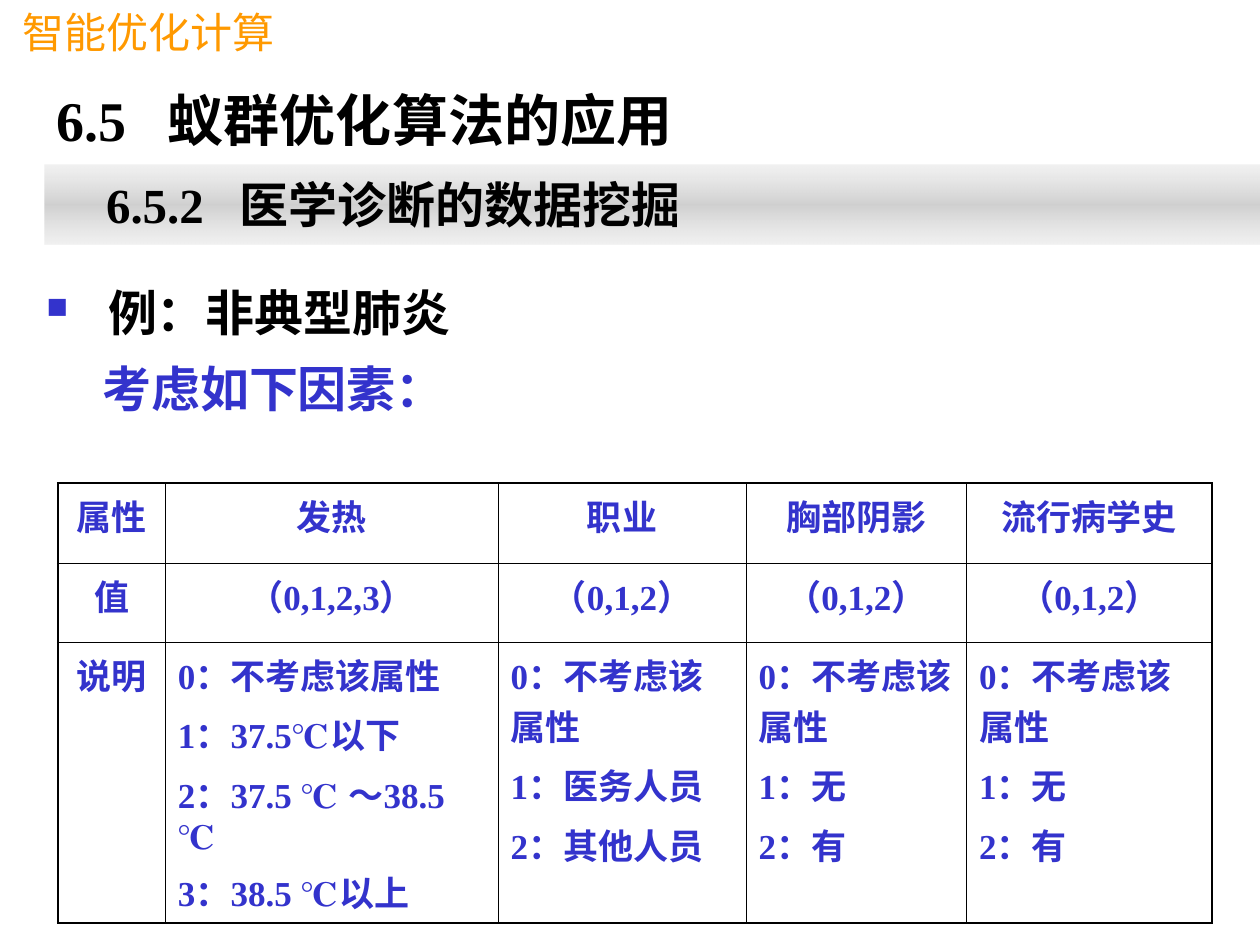
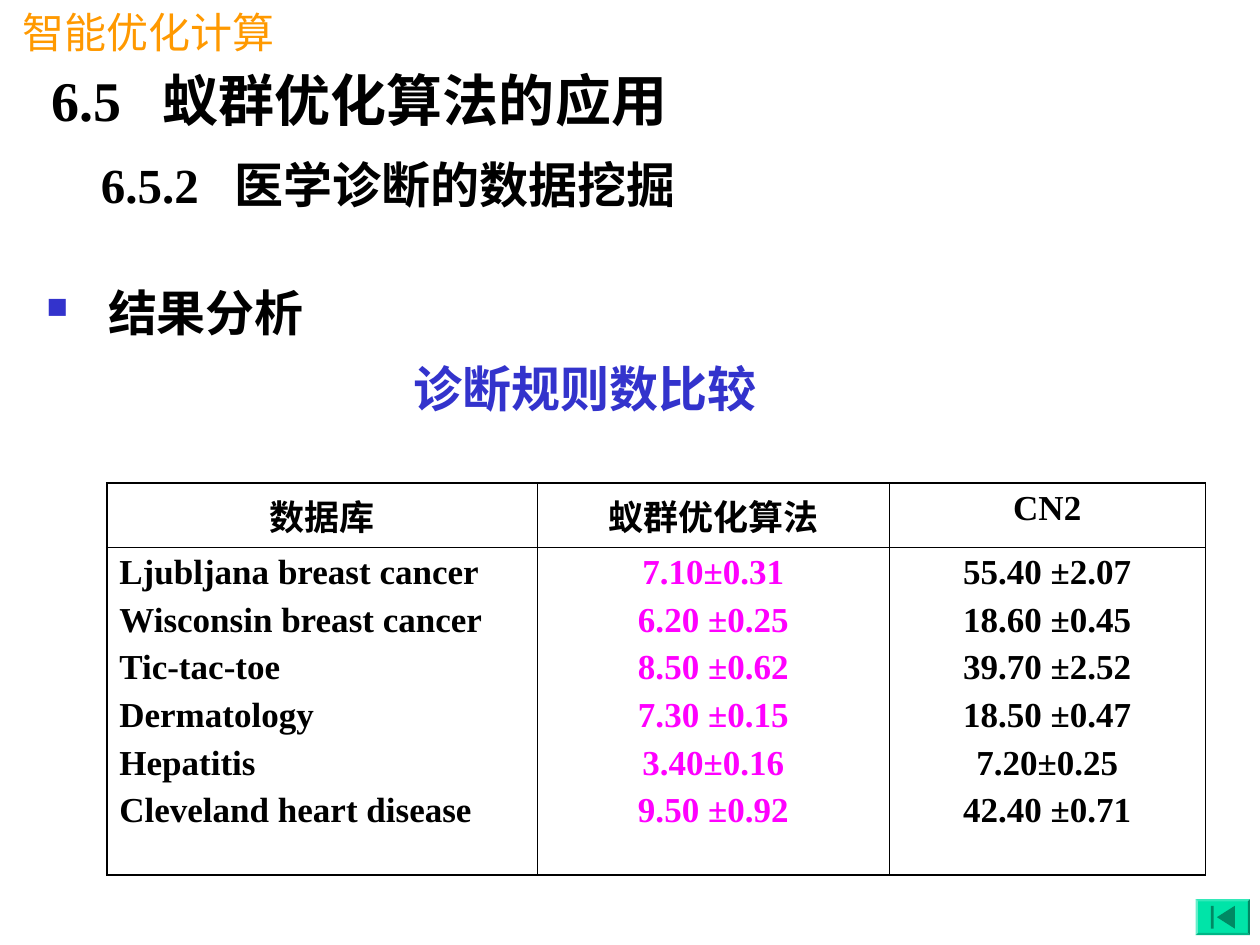
from dataclasses import dataclass

from lxml import etree
from pptx import Presentation
from pptx.dml.color import RGBColor
from pptx.enum.shapes import MSO_SHAPE
from pptx.enum.text import MSO_ANCHOR, PP_ALIGN
from pptx.oxml.ns import qn
from pptx.util import Pt

RECTANGLE = MSO_SHAPE.RECTANGLE
BEVEL = MSO_SHAPE.BEVEL
TOP = MSO_ANCHOR.TOP
LEFT = PP_ALIGN.LEFT
CENTER = PP_ALIGN.CENTER

BLACK = "000000"
BLUE = "3333CC"
ORANGE = "FF9900"
MAGENTA = "FF00FF"
BUTTON_GREEN = "00E4A8"
ICON_GREEN = "008964"
BAND_STOPS = ((0, "DDDDDD", 40), (50, "B2B2B2", 60), (100, "DDDDDD", 40))

SERIF = "Times New Roman"
SANS = "Arial"
COURSE = "智能优化计算"
CHAPTER = "6.5\t蚁群优化算法的应用"
SECTION = "6.5.2\t医学诊断的数据挖掘"
TABLE_TOP = 276
OUTER_LINE = 1.08
INNER_LINE = 0.45


@dataclass(frozen=True)
class TextStyle:
    size: float
    color: str = BLACK
    font: str = SERIF
    bold: bool = True
    align: PP_ALIGN = LEFT
    line_spacing: float = 1.0
    space_before: float = 0
    indent: float = 0
    bullet: str = ""
    tab: float = 0


@dataclass(frozen=True)
class Box:
    left: float
    top: float
    width: float
    height: float
    inset: float = 7.2


@dataclass(frozen=True)
class CellText:
    lines: tuple[str, ...]
    color: str
    align: PP_ALIGN = CENTER


@dataclass(frozen=True)
class Grid:
    left: float
    widths: tuple[float, ...]
    heights: tuple[float, ...]
    rows: tuple[tuple[CellText, ...], ...]


@dataclass(frozen=True)
class Page:
    left: float
    chapter_top: float
    has_band: bool
    topic: str
    caption: str
    caption_indent: float
    grid: Grid
    has_button: bool


COURSE_STYLE = TextStyle(24, ORANGE, SANS, bold=False)
CHAPTER_STYLE = TextStyle(32, line_spacing=1.05, tab=63.5)
SECTION_STYLE = TextStyle(28, line_spacing=1.05, tab=76.5)
TOPIC_STYLE = TextStyle(28, line_spacing=1.2, indent=35.3, bullet="■")


def rgb(value: str) -> RGBColor:
    return RGBColor.from_string(value)


def add_xml(parent, tag: str, **attributes: str):
    return etree.SubElement(parent, qn(tag), attributes)


def write_paragraph(paragraph, text: str, style: TextStyle) -> None:
    properties = paragraph._p.get_or_add_pPr()
    if style.indent:
        properties.set("marL", str(Pt(style.indent)))
    if style.bullet:
        properties.set("indent", str(-Pt(style.indent)))
        add_xml(add_xml(properties, "a:buClr"), "a:srgbClr", val=BLUE)
        add_xml(properties, "a:buSzPct", val="60000")
        add_xml(properties, "a:buChar", char=style.bullet)
    else:
        add_xml(properties, "a:buNone")
    if style.tab:
        tabs = add_xml(properties, "a:tabLst")
        add_xml(tabs, "a:tab", pos=str(Pt(style.tab)), algn="l")
    paragraph.add_run().text = text
    paragraph.alignment = style.align
    paragraph.line_spacing = style.line_spacing
    paragraph.space_before = Pt(style.space_before)
    font = paragraph.font
    font.name = style.font
    font.size = Pt(style.size)
    font.bold = style.bold
    font.color.rgb = rgb(style.color)


def write_lines(frame, lines: list[tuple[str, TextStyle]]) -> None:
    for index, (text, style) in enumerate(lines):
        paragraph = frame.add_paragraph() if index else frame.paragraphs[0]
        write_paragraph(paragraph, text, style)


def frame_text(shape, box: Box, lines: list[tuple[str, TextStyle]]) -> None:
    frame = shape.text_frame
    frame.word_wrap = True
    frame.vertical_anchor = TOP
    frame.margin_left = Pt(box.inset)
    write_lines(frame, lines)


def place(box: Box) -> tuple[Pt, Pt, Pt, Pt]:
    return Pt(box.left), Pt(box.top), Pt(box.width), Pt(box.height)


def add_text(slide, box: Box, *lines: tuple[str, TextStyle]) -> None:
    frame_text(slide.shapes.add_textbox(*place(box)), box, list(lines))


def add_band(slide, box: Box, line: tuple[str, TextStyle]) -> None:
    band = slide.shapes.add_shape(RECTANGLE, *place(box))
    band.shadow.inherit = False
    band.line.fill.background()
    band.fill.gradient()
    band.fill.gradient_angle = 270
    stops = next(band._element.iter(qn("a:gsLst")))
    for stop in list(stops):
        stops.remove(stop)
    for position, color, opacity in BAND_STOPS:
        stop = add_xml(stops, "a:gs", pos=str(position * 1000))
        shade = add_xml(stop, "a:srgbClr", val=color)
        add_xml(shade, "a:alpha", val=str(opacity * 1000))
    frame_text(band, box, [line])


def border_cell(cell, outer_sides: dict[str, bool]) -> None:
    properties = cell._tc.get_or_add_tcPr()
    for side, is_outer in outer_sides.items():
        width = Pt(OUTER_LINE if is_outer else INNER_LINE)
        line = add_xml(properties, f"a:ln{side}", w=str(width))
        add_xml(add_xml(line, "a:solidFill"), "a:srgbClr", val=BLACK)


def add_grid(slide, grid: Grid) -> None:
    last_row, last_column = len(grid.heights) - 1, len(grid.widths) - 1
    box = Box(grid.left, TABLE_TOP, sum(grid.widths), sum(grid.heights))
    table = slide.shapes.add_table(last_row + 1, last_column + 1, *place(box)).table
    table.first_row = False
    table.horz_banding = False
    for column, width in zip(table.columns, grid.widths):
        column.width = Pt(width)
    for row, height in zip(table.rows, grid.heights):
        row.height = Pt(height)
    for r, row_texts in enumerate(grid.rows):
        for c, content in enumerate(row_texts):
            cell = table.cell(r, c)
            border_cell(cell, {"L": c == 0, "R": c == last_column,
                               "T": r == 0, "B": r == last_row})
            cell.fill.background()
            write_lines(cell.text_frame, [
                (text, TextStyle(20, content.color, align=content.align,
                                 space_before=5 if index else 0))
                for index, text in enumerate(content.lines)
            ])


def paint(shape, color: str) -> None:
    shape.shadow.inherit = False
    shape.fill.solid()
    shape.fill.fore_color.rgb = rgb(color)
    shape.line.fill.background()


def add_return_button(slide) -> None:
    button = slide.shapes.add_shape(BEVEL, *place(Box(683.3, 513.8, 31, 20.5)))
    button.adjustments[0] = 0.06
    paint(button, BUTTON_GREEN)
    bar = slide.shapes.add_shape(RECTANGLE, *place(Box(692, 517.6, 1.5, 13)))
    paint(bar, ICON_GREEN)
    outline = slide.shapes.build_freeform(Pt(695.4), Pt(524.1))
    outline.add_line_segments([(Pt(705.6), Pt(517.6)), (Pt(705.6), Pt(530.6))])
    paint(outline.convert_to_shape(), ICON_GREEN)


def add_page(deck, page: Page) -> None:
    slide = deck.slides.add_slide(deck.slide_layouts[6])
    add_text(slide, Box(5.8, 0, 292.3, 36), (COURSE, COURSE_STYLE))
    caption_style = TextStyle(28, BLUE, line_spacing=1.2, space_before=3,
                              indent=page.caption_indent)
    add_text(slide, Box(19.4, 151.2, 672.5, 374.4),
             (page.topic, TOPIC_STYLE), (page.caption, caption_style))
    add_text(slide, Box(page.left, page.chapter_top, 694.8, 56.9),
             (CHAPTER, CHAPTER_STYLE))
    section_box = Box(page.left, page.chapter_top + 51.1, 694.8, 45.4, inset=35.2)
    add_section = add_band if page.has_band else add_text
    add_section(slide, section_box, (SECTION, SECTION_STYLE))
    add_grid(slide, page.grid)
    if page.has_button:
        add_return_button(slide)


def centered_row(color: str, *texts: str) -> tuple[CellText, ...]:
    return tuple(CellText((text,), color) for text in texts)


def described(*meanings: str) -> CellText:
    lines = ("不考虑该属性", *meanings)
    return CellText(tuple(f"{code}：{meaning}" for code, meaning in enumerate(lines)),
                    BLUE, LEFT)


FACTORS = Grid(
    33, (61.5, 190.1, 141.8, 126, 140.4), (46, 45, 160.5),
    (
        centered_row(BLUE, "属性", "发热", "职业", "胸部阴影", "流行病学史"),
        centered_row(BLUE, "值", "（0,1,2,3）", *["（0,1,2）"] * 3),
        (
            CellText(("说明",), BLUE),
            described("37.5℃以下", "37.5 ℃ ～38.5 ℃", "38.5 ℃以上"),
            described("医务人员", "其他人员"),
            described("无", "有"),
            described("无", "有"),
        ),
    ),
)

RULE_COUNTS = Grid(
    61, (246.2, 200.9, 180.7), (36.7, 187.2),
    (
        centered_row(BLACK, "数据库", "蚁群优化算法", "CN2"),
        (
            CellText(("Ljubljana breast cancer", "Wisconsin breast cancer", "Tic-tac-toe",
                      "Dermatology", "Hepatitis", "Cleveland heart disease"), BLACK, LEFT),
            CellText(("7.10±0.31", "6.20 ±0.25", "8.50 ±0.62",
                      "7.30 ±0.15", "3.40±0.16", "9.50 ±0.92"), MAGENTA),
            CellText(("55.40 ±2.07", "18.60 ±0.45", "39.70 ±2.52",
                      "18.50 ±0.47", "7.20±0.25", "42.40 ±0.71"), BLACK),
        ),
    ),
)

PAGES = (
    Page(25.4, 43.2, True, "例：非典型肺炎", "考虑如下因素：", 32, FACTORS, False),
    Page(22.5, 32, False, "结果分析", "诊断规则数比较", 210, RULE_COUNTS, True),
)


def main() -> None:
    deck = Presentation()
    deck.slide_width = Pt(720)
    deck.slide_height = Pt(540)
    for page in PAGES:
        add_page(deck, page)
    deck.save("out.pptx")


if __name__ == "__main__":
    main()
